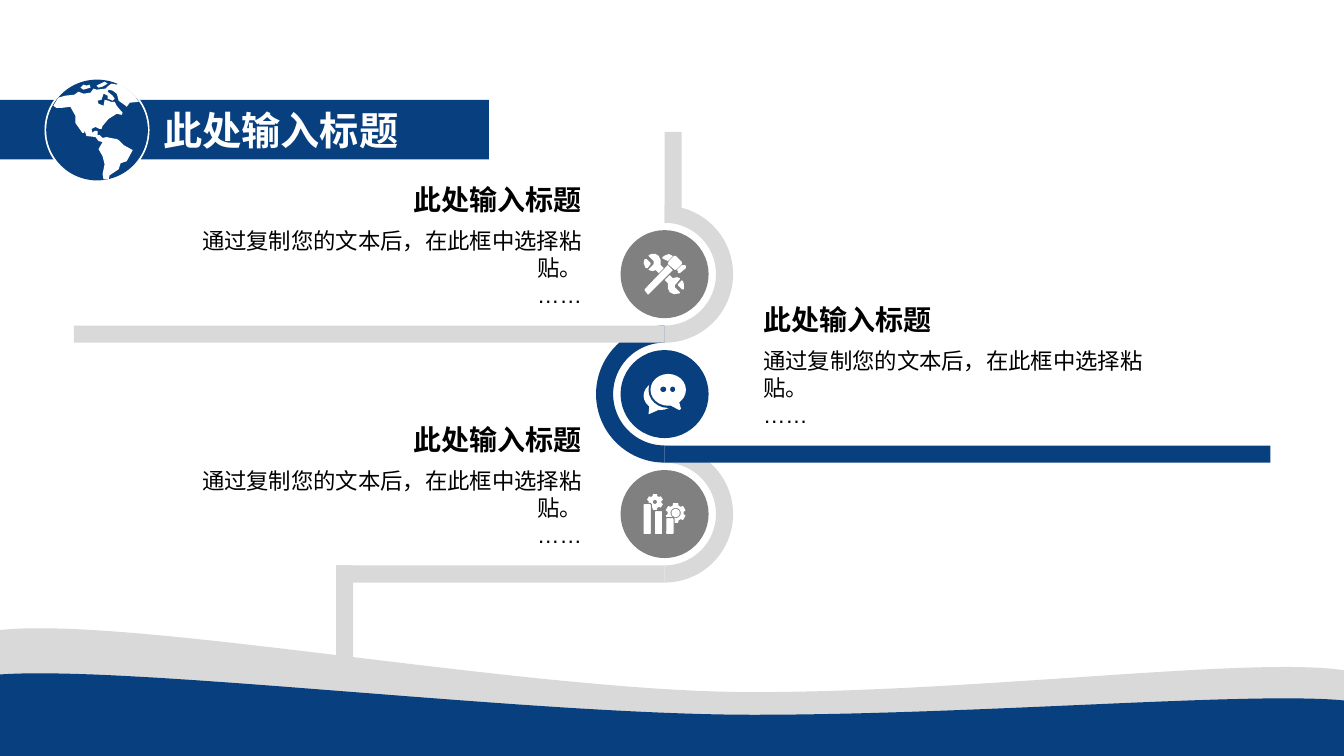
from math import cos, pi, sin

from pptx import Presentation
from pptx.dml.color import RGBColor
from pptx.enum.shapes import MSO_SHAPE
from pptx.enum.text import MSO_ANCHOR, MSO_AUTO_SIZE, PP_ALIGN
from pptx.util import Inches, Pt

# The slide is a grid of 160 columns by 90 rows; boxes are (left, top, width, height).
COLS, ROWS = 160, 90
CELL = Inches(7.5) / ROWS
BLUE, PALE, GRAY, WHITE, BLACK = "083F7F", "D9D9D9", "808080", "FFFFFF", "000000"
HEADING = "此处输入标题"
BODY = ["通过复制您的文本后，在此框中选择粘贴。", "……"]

# Outlines in hundredths of an inch within their own box.
LAND = [
    [(7, 26), (10, 28), (16, 28), (24, 27), (29, 36), (29, 43), (36, 53), (38, 53),
     (38, 50), (40, 56), (49, 57), (52, 61), (56, 62), (52, 69), (56, 76), (58, 84),
     (56, 94), (57, 99), (62, 99), (63, 95), (72, 89), (74, 83), (80, 81), (86, 70),
     (77, 65), (72, 60), (70, 59), (64, 58), (60, 57), (56, 58), (53, 55), (51, 55),
     (51, 51), (48, 51), (46, 53), (45, 49), (49, 47), (53, 49), (55, 49), (56, 46),
     (62, 39), (70, 34), (75, 35), (76, 33), (70, 26), (68, 22), (64, 22), (62, 21),
     (58, 20), (57, 26), (52, 24), (51, 21), (55, 20), (57, 14), (61, 16), (61, 19),
     (64, 20), (66, 21), (68, 19), (66, 16), (61, 12), (62, 10), (66, 11), (70, 14),
     (71, 17), (72, 21), (79, 26), (80, 27), (83, 23), (92, 22), (87, 15), (80, 9),
     (72, 4), (70, 5), (65, 4), (62, 6), (59, 9), (50, 10), (47, 9), (44, 13),
     (37, 14), (32, 12), (28, 15), (19, 16), (12, 18)],
    [(37, 5), (34, 8), (37, 10), (44, 8), (43, 5), (40, 6)],
    [(58, 2), (52, 5), (50, 6), (52, 8), (56, 7), (61, 4)],
]
TOOLS = [
    [(38, 26), (34, 30), (34, 31), (38, 35), (40, 35), (40, 30), (39, 27)],
    [(26, 21), (21, 26), (24, 29), (24, 34), (26, 38), (30, 40), (36, 39), (36, 38),
     (31, 33), (31, 31), (36, 25), (36, 24), (33, 23), (29, 24)],
    [(24, 11), (1, 35), (1, 36), (4, 40), (5, 40), (29, 16)],
    [(38, 11), (33, 16), (34, 17), (34, 19), (36, 19), (42, 14), (42, 12), (41, 11)],
    [(2, 5), (1, 5), (0, 9), (2, 14), (4, 14), (7, 10), (7, 9), (3, 5)],
    [(31, 2), (30, 2), (25, 7), (24, 10), (30, 15), (31, 16), (33, 15), (38, 10),
     (38, 8), (32, 2)],
    [(25, 0), (20, 2), (18, 4), (20, 5), (24, 7), (29, 2)],
    [(8, 0), (5, 1), (5, 2), (10, 7), (10, 10), (5, 15), (5, 16), (9, 17), (12, 16),
     (15, 19), (20, 14), (17, 11), (17, 6), (15, 2), (12, 0)],
]


def rgb(code):
    """Turn a hex string into a colour."""
    return RGBColor.from_string(code)


def paint(sp, color):
    """Give a shape a flat fill without line or shadow."""
    sp.shadow.inherit = False
    sp.fill.solid()
    sp.fill.fore_color.rgb = rgb(color)
    sp.line.fill.background()
    return sp


def preset(s, kind, box, color):
    """Add a flat preset shape in a grid box."""
    return paint(s.shapes.add_shape(kind, *(round(v * CELL) for v in box)), color)


def inside(box, x, y, w, h, size):
    """Place a part, measured in a box of the given size, on the grid."""
    left, top, width, height = box
    kx, ky = width / size[0], height / size[1]
    return left + x * kx, top + y * ky, w * kx, h * ky


def outline(s, box, contours, color, size):
    """Add one closed freeform; nested contours cut holes."""
    placed = [[tuple(v * CELL for v in inside(box, x, y, 0, 0, size)[:2]) for x, y in c]
              for c in contours]
    fb = s.shapes.build_freeform(*placed[0][0], scale=1.0)
    for i, points in enumerate(placed):
        if i:
            fb.move_to(*points[0])
        fb.add_line_segments(points[1:], close=True)
    return paint(fb.convert_to_shape(), color)


def bezier(a, b, c, d, steps=40):
    """Sample a cubic curve."""
    for i in range(steps + 1):
        t = i / steps
        u = 1 - t
        yield tuple(u**3 * p + 3 * u * u * t * q + 3 * u * t * t * m + t**3 * n
                    for p, q, m, n in zip(a, b, c, d))


def gear(cx, cy, radius, *holes, teeth=6):
    """Return contours of a toothed wheel with concentric rings."""
    wheel = [(cx + k * radius * cos(a), cy + k * radius * sin(a))
             for i in range(teeth)
             for da, k in ((-.38, .78), (-.25, 1), (.25, 1), (.38, .78))
             for a in [2 * pi * i / teeth + pi / 6 + da]]
    rings = [[(cx + r * cos(i * pi / 12), cy + r * sin(i * pi / 12)) for i in range(24)]
             for r in holes]
    return [wheel] + rings


def fill_text(tf, lines, size, color, align, bold=False, spacing=None):
    """Write paragraphs with one shared format."""
    tf.word_wrap = True
    tf.auto_size = MSO_AUTO_SIZE.NONE
    for i, line in enumerate(lines):
        p = tf.add_paragraph() if i else tf.paragraphs[0]
        p.text, p.alignment, p.line_spacing = line, align, spacing
        p.font.name, p.font.size, p.font.bold = "Arial", Pt(size), bold
        p.font.color.rgb = rgb(color)


def waves(s, box):
    """Draw the two waves along the foot of the slide."""
    for color, ys in ((PALE, (75, 73.3, 82.4, 82.4, 82.4, 78.1, 79.8)),
                      (BLUE, (80.3, 79.2, 85.1, 85.1, 85.1, 82.3, 83.4))):
        pts = list(zip((0, 15.7, 62.9, 89.6, 116.4, 149, COLS), (y - box[1] for y in ys)))
        crest = [*bezier(*pts[:4]), *bezier(*pts[3:])]
        outline(s, box, [crest + [(COLS, box[3]), (0, box[3])]], color, box[2:])


def banner(s, box):
    """Draw the title bar with its globe and the title."""
    left, top, w, h = box
    preset(s, MSO_SHAPE.RECTANGLE, box, BLUE)
    tf = s.shapes.title.text_frame
    for name, v in zip(("left", "top", "width", "height"), (left + 18.24, top, 37.44, h)):
        setattr(s.shapes.title, name, round(v * CELL))
    s.shapes._spTree.append(s.shapes.title._element)
    tf.vertical_anchor = MSO_ANCHOR.MIDDLE
    fill_text(tf, [HEADING], 28, WHITE, PP_ALIGN.LEFT, bold=True)
    globe = (left + 5.5, top - 2.4, 12.1, 12)
    preset(s, MSO_SHAPE.OVAL, (left + 5.3, top - 2.64, 12.5, 12.48), WHITE)
    preset(s, MSO_SHAPE.OVAL, globe, BLUE)
    outline(s, globe, LAND, WHITE, (101, 100))


def tools_icon(s, box, back):
    """Draw the crossed hammer and wrench."""
    outline(s, box, TOOLS, WHITE, (42, 40))


def chat_icon(s, box, back):
    """Draw two speech bubbles, the front one with eyes."""
    size = (43, 38)
    outline(s, box, [[(6, 29), (5, 38), (15, 34)]], WHITE, size)
    for x, y, w, h, color in ((0, 7, 34, 27, WHITE), (5, -2, 40, 34, back),
                              (7, 0, 36, 30, WHITE), (17, 12, 6, 5, back),
                              (27, 12, 5, 5, back)):
        preset(s, MSO_SHAPE.OVAL, inside(box, x, y, w, h, size), color)
    outline(s, box, [[(26, 29), (36, 34), (38, 33), (36, 26)]], WHITE, size)


def chart_icon(s, box, back):
    """Draw three bars with two gears."""
    size = (41, 40)
    for wheel in (gear(11, 8, 8, 2), gear(31, 19, 10, 5, 4)):
        outline(s, box, wheel, WHITE, size)
    for i in range(3):
        y = 10 + 7 * i
        bar = preset(s, MSO_SHAPE.ROUNDED_RECTANGLE,
                     inside(box, 11 * i - .5, y - .5, 8, 41 - y, size), WHITE)
        bar.line.color.rgb = rgb(back)
        bar.line.width = Pt(0.75)


def station(s, box, color, disc, on_right, far, icon):
    """Draw a half ring, its bar to column far, and a disc with an icon."""
    left, top, d, _ = box
    cx, cy, band = left + d / 2, top + d / 2, d / 8
    ring = preset(s, MSO_SHAPE.BLOCK_ARC, box, color)
    angles = (162, 54) if on_right else (54, 162)
    for i, v in enumerate((*angles, .125)):
        ring.adjustments[i] = v
    preset(s, MSO_SHAPE.RECTANGLE,
           (min(cx, far), top + d - band, abs(far - cx), band), color)
    preset(s, MSO_SHAPE.OVAL, (cx - 5.24, cy - 5.24, 10.48, 10.48), disc)
    icon(s, (cx - 2.5, cy - 2.4, 5.04, 4.8), disc)


def caption(s, box, align):
    """Write a bold heading above its body text."""
    left, top, w, h = box
    for y, height, lines, size, bold, spacing in (
            (top, 5.04, [HEADING], 20, True, 1.1), (top + 5.16, h - 5.16, BODY, 16, False, None)):
        tf = s.shapes.add_textbox(*(round(v * CELL) for v in (left, y, w, height))).text_frame
        tf.vertical_anchor = MSO_ANCHOR.BOTTOM if bold else MSO_ANCHOR.TOP
        fill_text(tf, lines, size, BLACK, align, bold, spacing)


def winding_path(s, box):
    """Draw the path of three stations and their captions."""
    left, top, d, pitch = box
    stops = ((PALE, GRAY, True, 8.8, tools_icon), (BLUE, BLUE, False, 151.2, chat_icon),
             (PALE, GRAY, True, 40, chart_icon))
    preset(s, MSO_SHAPE.RECTANGLE, (40, top + 2 * pitch + d * 7 / 8, 2.04, 13.2), PALE)
    preset(s, MSO_SHAPE.RECTANGLE, (left + d / 2, top - 8.76, 2.04, 10.8), PALE)
    for i, stop in reversed(list(enumerate(stops))):
        y = top + i * pitch
        station(s, (left, y, d, d), *stop)
        x, align = (22.2, PP_ALIGN.RIGHT) if stop[2] else (89.64, PP_ALIGN.LEFT)
        caption(s, (x, y - 3.2, 48.24, 13.7), align)


prs = Presentation()
prs.slide_width, prs.slide_height = Inches(13.33), Inches(7.5)
s = prs.slides.add_slide(prs.slide_layouts[5])
waves(s, (0, 73, COLS, 17))
winding_path(s, (70.94, 24.48, 16.32, 14.28))
banner(s, (0, 11.88, 58.2, 7.08))
prs.save("out.pptx")
